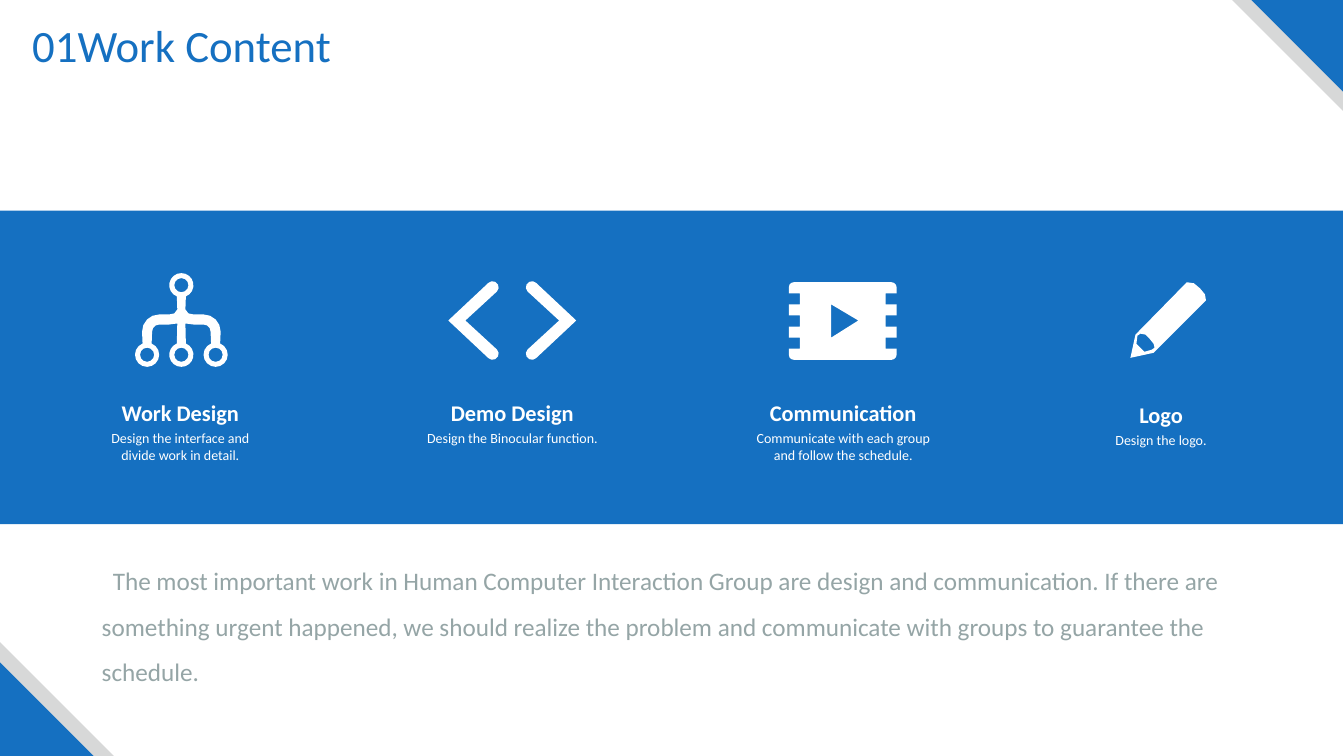
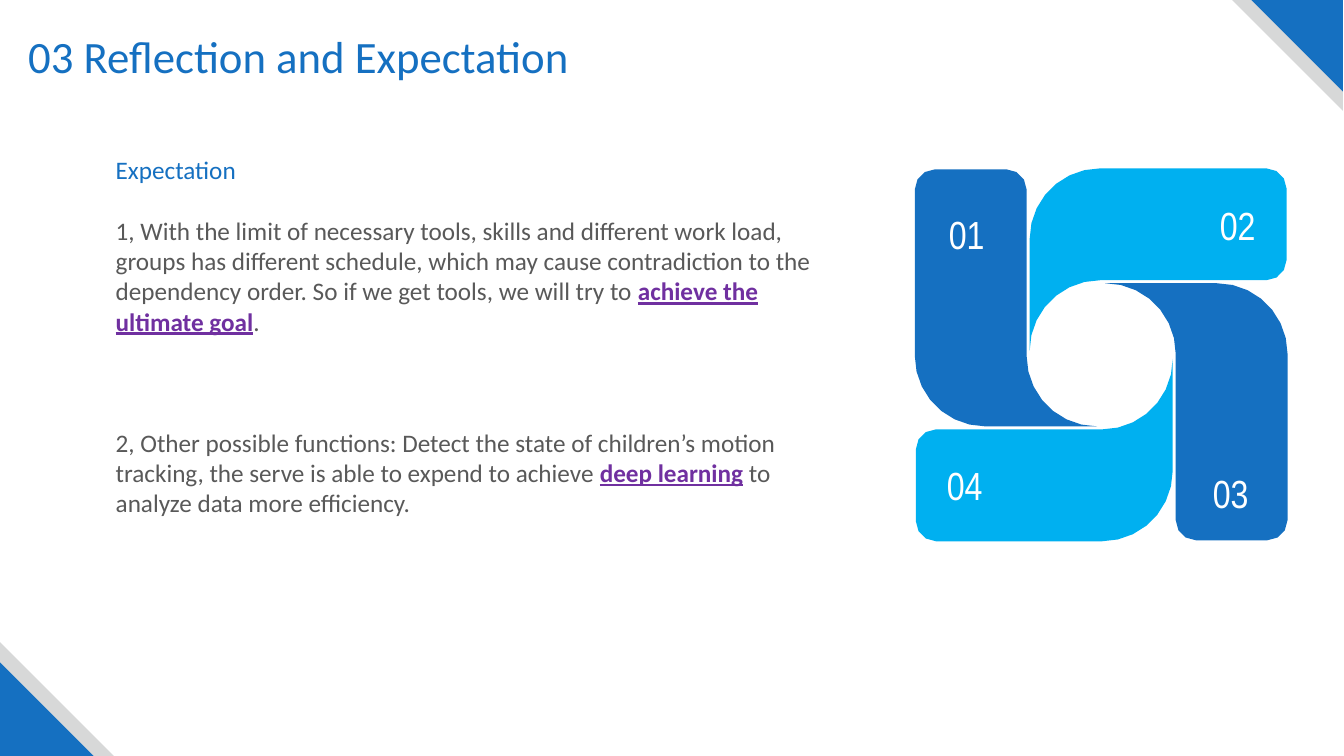
from math import cos, radians, sin

from pptx import Presentation
from pptx.dml.color import RGBColor
from pptx.enum.shapes import MSO_SHAPE as SHAPE
from pptx.enum.text import MSO_ANCHOR as ANCHOR, MSO_AUTO_SIZE as AUTO_SIZE, PP_ALIGN as ALIGN
from pptx.util import Pt

PX = 9144
BLUE = RGBColor(0x15, 0x70, 0xC1)
SKY = RGBColor(0x00, 0xB0, 0xF0)
SILVER = RGBColor(0xD7, 0xD8, 0xD8)
WHITE = RGBColor(0xFF, 0xFF, 0xFF)
SLATE = RGBColor(0x95, 0xA5, 0xA6)
GRAPHITE = RGBColor(0x59, 0x59, 0x59)
PURPLE = RGBColor(0x70, 0x30, 0xA0)

TITLE = {"name": "Calibri", "size": Pt(32)}
BODY = {"name": "Calibri", "size": Pt(18)}
EMPHASIS = BODY | {"bold": True, "underline": True}
CARD_HEAD = {"name": "Calibri", "size": Pt(16), "bold": True}
CARD_NOTE = {"name": "Calibri", "size": Pt(10)}
NUMBER = {"name": "Arial Narrow", "size": Pt(28)}


def arc(cx, cy, radius, start, end, steps=3):
    angles = [radians(start + (end - start) * i / steps) for i in range(steps + 1)]
    return [(cx + radius * cos(a), cy + radius * sin(a)) for a in angles]


def write(frame, paragraphs, margins=(10, 5)):
    frame.word_wrap = True
    frame.auto_size = AUTO_SIZE.NONE
    frame.vertical_anchor = ANCHOR.TOP
    frame.margin_left = frame.margin_right = margins[0] * PX
    frame.margin_top = frame.margin_bottom = margins[1] * PX
    for i, (layout_values, runs) in enumerate(paragraphs):
        paragraph = frame.add_paragraph() if i else frame.paragraphs[0]
        for key, value in ({"alignment": ALIGN.LEFT} | layout_values).items():
            setattr(paragraph, key, value)
        for text, color, font_values in runs:
            run = paragraph.add_run()
            run.text = text
            run.font.color.rgb = color
            for key, value in font_values.items():
                setattr(run.font, key, value)


deck = Presentation()
deck.slide_width, deck.slide_height = 1334 * PX, 750 * PX
layout = deck.slide_layouts[5]
for footer in list(layout.placeholders)[1:]:
    layout.shapes.element.remove(footer.element)
work, outlook = [deck.slides.add_slide(layout) for _ in range(2)]
filled = []

for left, top, side, rotation, color in [
    (1223, 0, 110, 180, SILVER),
    (1242, 0, 91, 180, BLUE),
    (0, 637, 113, 0, SILVER),
    (0, 657, 93, 0, BLUE),
]:
    corner = work.shapes.add_shape(
        SHAPE.RIGHT_TRIANGLE, left * PX, top * PX, side * PX, side * PX)
    corner.rotation = rotation
    layout.shapes.element.append(corner.element)
    filled.append((corner, color))

for slide, heading, box in [
    (work, "01Work Content", (22, 13, 592, 64)),
    (outlook, "03 Reflection and Expectation", (18, 23, 626, 117)),
]:
    title = slide.shapes.title
    title.left, title.top, title.width, title.height = [v * PX for v in box]
    write(title.text_frame, [({}, [(heading, BLUE, TITLE)])])

band = work.shapes.add_shape(SHAPE.RECTANGLE, 0, 209 * PX, 1333 * PX, 311 * PX)
filled.append((band, BLUE))

branch = [
    *arc(180, 283, 12, 270, 112, 8), (176, 307), (173, 311), (168, 312),
    *arc(158, 329, 17, 270, 180, 4), *arc(146, 352, 12, 248, -68, 14),
    *arc(158, 329, 7, 180, 270), (168, 322), (176, 321),
    *arc(180, 352, 12, 248, 90, 8),
]
tree = branch + [(360 - x, y) for x, y in reversed(branch)]
node_holes = [
    arc(cx, cy, 7, 0, 330, 11)
    for cx, cy in [(180, 283), (146, 352), (180, 352), (214, 352)]
]

chevron = [
    (445, 318), *arc(489, 285, 6, 225, 405, 5),
    (462, 318), *arc(489, 351, 6, -45, 135, 5),
]
chevron_right = [(1017 - x, y) for x, y in chevron]

film_edge = arc(885, 285, 5, 270, 360)
for y in range(291, 336, 22):
    film_edge += [(890, y), (879, y), (879, y + 11), (890, y + 11)]
film_edge += arc(885, 352, 5, 0, 90)
film = film_edge + [(1673 - x, y) for x, y in reversed(film_edge)]
play = [(825, 302), (852, 318), (825, 335)]

pencil = [
    (1178, 280), (1185, 281), (1191, 286), (1196, 292), (1197, 298),
    (1145, 350), (1122, 355), (1127, 332),
]
pencil_tip = [
    (1143, 347), (1136, 349), (1132, 345), (1128, 341), (1129, 333),
    (1132, 331), (1137, 332), (1141, 336), (1145, 341), (1146, 345),
]

outlines = [
    (work, WHITE, [tree, *node_holes]),
    (work, WHITE, [chevron, chevron_right]),
    (work, WHITE, [film, play]),
    (work, WHITE, [pencil, pencil_tip]),
]

petal = [
    *arc(928, 188, 20, 180, 270), *arc(999, 188, 20, 270, 360),
    *arc(1089, 353, 70, 180, 90, 7), *arc(978, 353, 70, 90, 180, 7),
]
hub_x, hub_y = 1093, 352
for color in (BLUE, SKY, BLUE, SKY):
    outlines.append((outlook, color, [petal]))
    petal = [(hub_x + hub_y - y, hub_y - hub_x + x) for x, y in petal]

for slide, color, contours in outlines:
    builder = None
    for contour in contours:
        start, *rest = [(x * PX, y * PX) for x, y in contour]
        if builder:
            builder.move_to(*start)
        else:
            builder = slide.shapes.build_freeform(*start)
        builder.add_line_segments(rest, close=True)
    filled.append((builder.convert_to_shape(), color))

for shape, color in filled:
    shape.shadow.inherit = False
    shape.fill.solid()
    shape.fill.fore_color.rgb = color
    shape.line.fill.background()

for left, top, width, head, note in [
    (82, 389, 194, "Work Design", "Design the interface and divide work in detail."),
    (409, 389, 199, "Demo Design", "Design the Binocular function."),
    (727, 389, 220, "Communication", "Communicate with each group and follow the schedule."),
    (1051, 391, 203, "Logo", "Design the logo."),
]:
    card = work.shapes.add_textbox(left * PX, top * PX, width * PX, 80 * PX)
    write(card.text_frame, [
        ({"alignment": ALIGN.CENTER, "space_before": Pt(4)}, [(head, WHITE, CARD_HEAD)]),
        ({"alignment": ALIGN.CENTER, "space_before": Pt(2.5)}, [(note, WHITE, CARD_NOTE)]),
    ], (13, 7))

summary = work.shapes.add_textbox(88 * PX, 539 * PX, 1156 * PX, 119 * PX)
write(summary.text_frame, [({"line_spacing": 1.5, "space_before": Pt(4.5)}, [(
    "The most important work in Human Computer Interaction Group are design and "
    "communication. If there are something urgent happened, we should realize the "
    "problem and communicate with groups to guarantee the schedule.", SLATE, BODY)])], (13, 7))
summary.text_frame.paragraphs[0]._p.get_or_add_pPr().set("indent", str(11 * PX))

for left, top, number in [
    (932, 204, "01"), (1201, 195, "02"), (1194, 461, "03"), (930, 453, "04"),
]:
    label = outlook.shapes.add_textbox(left * PX, top * PX, 64 * PX, 57 * PX)
    write(label.text_frame, [({}, [(number, WHITE, NUMBER)])])

expectation = outlook.shapes.add_textbox(105 * PX, 148 * PX, 741 * PX, 370 * PX)
write(expectation.text_frame, [
    ({}, [("Expectation", BLUE, BODY)]),
    ({"space_before": Pt(22)}, [
        ("1, With the limit of necessary tools, skills and different work load, groups has "
         "different schedule, which may cause contradiction to the dependency order. So if "
         "we get tools, we will try to ", GRAPHITE, BODY),
        ("achieve the ultimate goal", PURPLE, EMPHASIS),
        (".", GRAPHITE, BODY),
    ]),
    ({"space_before": Pt(65)}, [
        ("2, Other possible functions: Detect the state of children’s motion tracking, the "
         "serve is able to expend to achieve ", GRAPHITE, BODY),
        ("deep learning", PURPLE, EMPHASIS),
        (" to analyze data more efficiency.", GRAPHITE, BODY),
    ]),
])

deck.save("out.pptx")
